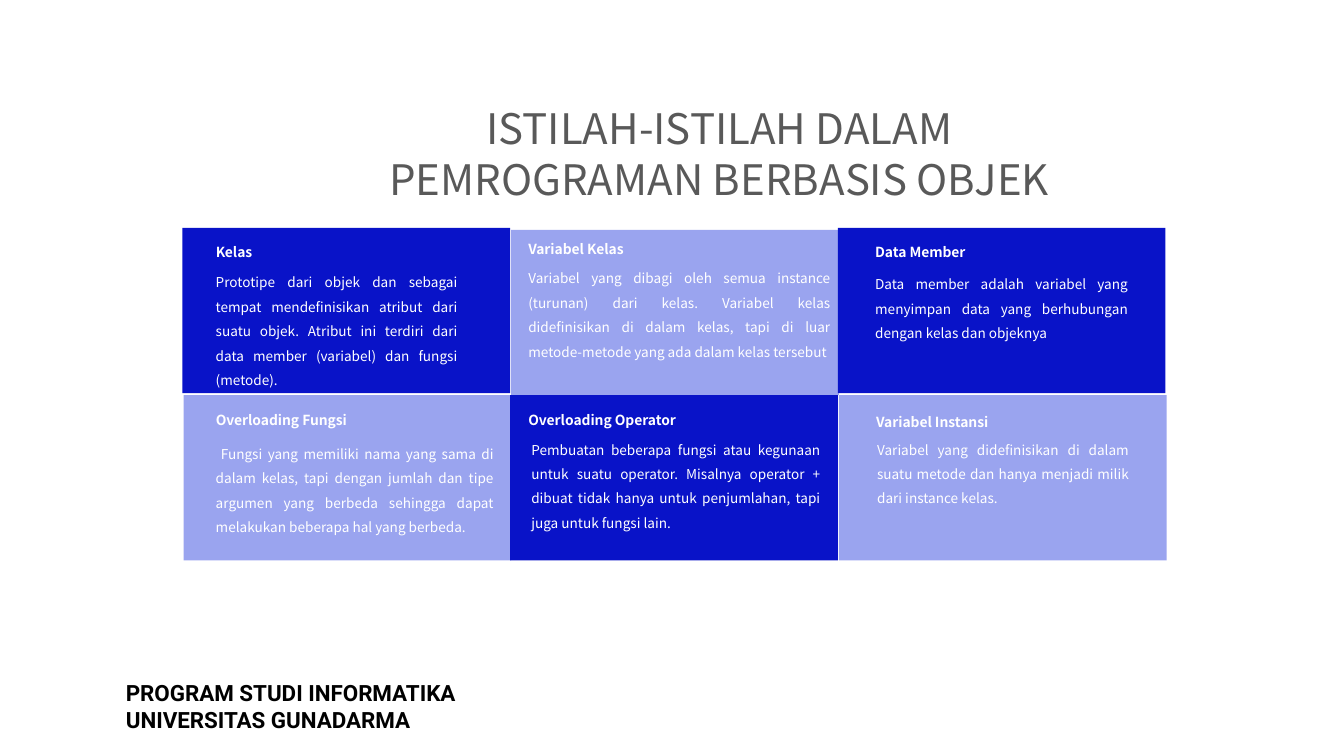
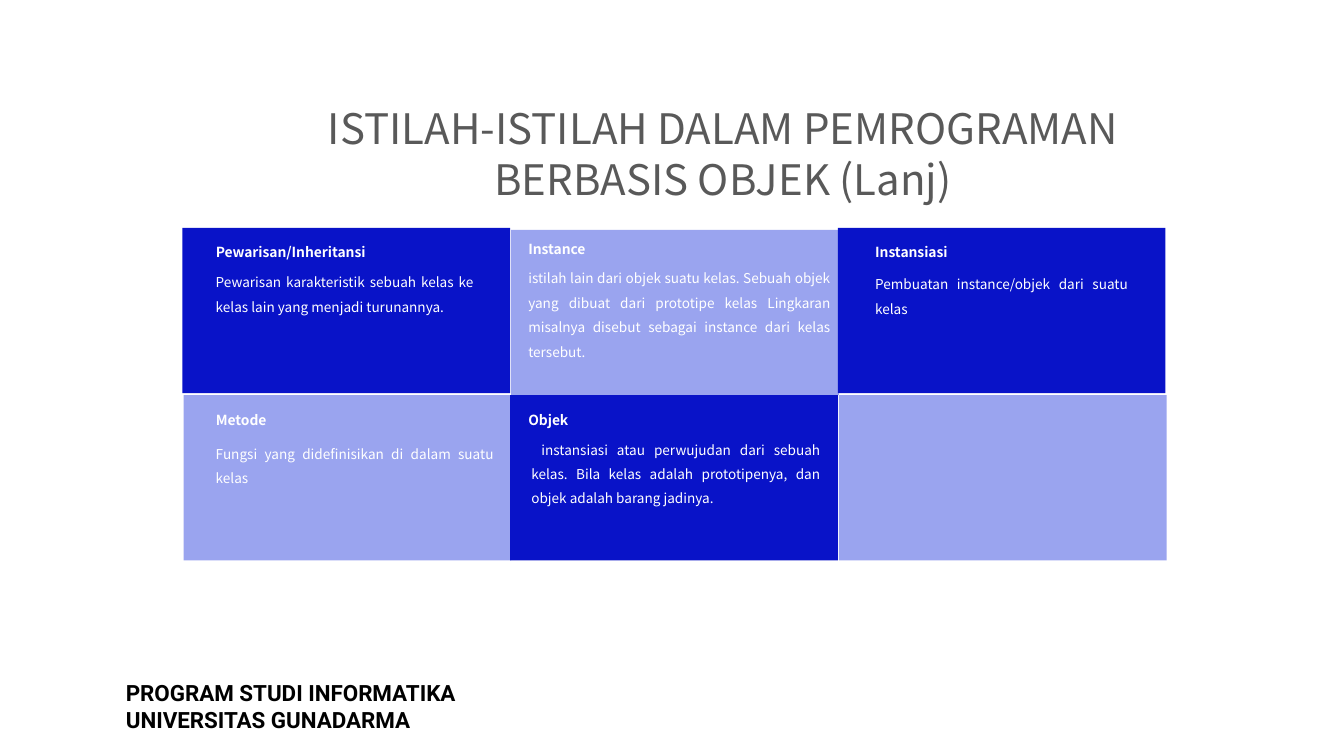
from dataclasses import dataclass

from pptx import Presentation
from pptx.dml.color import RGBColor
from pptx.enum import shapes, text
from pptx.util import Inches, Pt

COLORS = {"dark": "0913C8", "light": "9AA4EF", "white": "FFFFFF",
          "title": "595959", "footer": "000000"}
SANS, FOOTER_FONT = "Noto Sans CJK SC", "Roboto"
FOOTER = "PROGRAM STUDI INFORMATIKA\nUNIVERSITAS GUNADARMA"

# Tile grid: three columns, two rows, alternating dark and light
COLUMNS = 3
GRID_LEFT, GRID_TOP = 1.81, 2.26
TILE_WIDTH, TILE_HEIGHT, ROW_PITCH = 3.25, 1.64, 1.66
HEADING_SIZE = (1.85, 0.17)

# Heading left and top, body left, top and width, for each tile
SLOTS = [
    ((2.14, 2.42), (2.14, 2.64, 2.4)),
    ((5.24, 2.39), (5.24, 2.6, 3)),
    ((8.68, 2.42), (8.68, 2.66, 2.51)),
    ((2.14, 4.08), (2.14, 4.34, 2.76)),
    ((5.24, 4.08), (5.27, 4.3, 2.87)),
    ((8.69, 4.1), (8.7, 4.3, 2.5)),
]


@dataclass
class Term:
    heading: str
    body: str
    lines: int
    indent: float = 0
    width: float = 0  # replaces the width of the slot when set


BASIC_TERMS = [
    Term("Kelas", "Prototipe dari objek dan sebagai tempat mendefinisikan atribut dari "
         "suatu objek. Atribut ini terdiri dari data member (variabel) dan fungsi (metode).", 5),
    Term("Variabel Kelas", "Variabel yang dibagi oleh semua instance (turunan) dari kelas. "
         "Variabel kelas didefinisikan di dalam kelas, tapi di luar metode-metode yang ada "
         "dalam kelas tersebut", 4),
    Term("Data Member", "Data member adalah variabel yang menyimpan data yang berhubungan "
         "dengan kelas dan objeknya", 3),
    Term("Overloading Fungsi", "Fungsi yang memiliki nama yang sama di dalam kelas, tapi "
         "dengan jumlah dan tipe argumen yang berbeda sehingga dapat melakukan beberapa hal "
         "yang berbeda.", 4, indent=0.05),
    Term("Overloading Operator", "Pembuatan beberapa fungsi atau kegunaan untuk suatu "
         "operator. Misalnya operator + dibuat tidak hanya untuk penjumlahan, tapi juga "
         "untuk fungsi lain.", 4),
    Term("Variabel Instansi", "Variabel yang didefinisikan di dalam suatu metode dan hanya "
         "menjadi milik dari instance kelas.", 3),
]

FURTHER_TERMS = [
    Term("Pewarisan/Inheritansi", "Pewarisan karakteristik sebuah kelas ke kelas lain yang "
         "menjadi turunannya.", 2, width=2.56),
    Term("Instance", "istilah lain dari objek suatu kelas. Sebuah objek yang dibuat dari "
         "prototipe kelas Lingkaran misalnya disebut sebagai instance dari kelas tersebut.", 4),
    Term("Instansiasi", "Pembuatan instance/objek dari suatu kelas", 2),
    Term("Metode", "Fungsi yang didefinisikan di dalam suatu kelas", 2),
    Term("Objek", "instansiasi atau perwujudan dari sebuah kelas. Bila kelas adalah "
         "prototipenya, dan objek adalah barang jadinya.", 3, indent=0.1),
]


def format_text(frame, size, color, font=SANS, bold=False):
    for paragraph in frame.paragraphs:
        for run in paragraph.runs:
            run.font.size = Pt(size)
            run.font.name = font
            run.font.bold = bold
            run.font.color.rgb = RGBColor.from_string(COLORS[color])


def add_text(slide, wording, left, top, width, height, margin=True):
    box = slide.shapes.add_textbox(Inches(left), Inches(top), Inches(width), Inches(height))
    frame = box.text_frame
    frame.word_wrap = True
    frame.auto_size = text.MSO_AUTO_SIZE.SHAPE_TO_FIT_TEXT
    if not margin:
        frame.margin_left = frame.margin_right = frame.margin_top = frame.margin_bottom = 0
    frame.text = wording
    return box


def move_footer_to_layout(slide, layout):
    """Build the footer and hand it to the layout that all slides share."""
    footer = add_text(slide, FOOTER, 1.15, 6.69, 6.56, 0.64)
    format_text(footer.text_frame, 16, "footer", FOOTER_FONT, bold=True)
    next_id = max(shape.shape_id for shape in layout.shapes) + 1
    footer.element.nvSpPr.cNvPr.set("id", str(next_id))
    layout.shapes.element.append(footer.element)


def set_title(slide, wording, left, width):
    title = slide.shapes.title
    title.left, title.top = Inches(left), Inches(0.97)
    title.width, title.height = Inches(width), Inches(1.11)
    frame = title.text_frame
    frame.text = wording
    frame.word_wrap = True
    frame.auto_size = text.MSO_AUTO_SIZE.NONE
    frame.vertical_anchor = text.MSO_ANCHOR.TOP
    frame.paragraphs[0].alignment = text.PP_ALIGN.CENTER
    format_text(frame, 30, "title")


def add_tile(slide, index):
    row, column = divmod(index, COLUMNS)
    light = (row + column) % 2 == 1
    left = GRID_LEFT + column * TILE_WIDTH + (0.01 if light else 0)
    top = GRID_TOP + row * ROW_PITCH + (0.02 if light and row == 0 else 0)
    tile = slide.shapes.add_shape(shapes.MSO_SHAPE.RECTANGLE, Inches(left), Inches(top),
                                  Inches(TILE_WIDTH), Inches(TILE_HEIGHT))
    tile.shadow.inherit = False
    tile.fill.solid()
    tile.fill.fore_color.rgb = RGBColor.from_string(COLORS["light" if light else "dark"])
    tile.line.fill.background()


def add_term(slide, term, slot):
    heading_at, (left, top, width) = slot
    # Justified explanation
    body = add_text(slide, term.body, left, top, term.width or width,
                    0.245 * term.lines - 0.03, margin=False)
    paragraph = body.text_frame.paragraphs[0]
    paragraph.alignment = text.PP_ALIGN.JUSTIFY
    paragraph.line_spacing = 1.5
    if term.indent:
        for properties in body.element.xpath(".//a:pPr"):
            properties.set("indent", str(Inches(term.indent)))
    format_text(body.text_frame, 9.7, "white")
    # Bold heading
    heading = add_text(slide, term.heading, *heading_at, *HEADING_SIZE, margin=False)
    format_text(heading.text_frame, 9.9, "white", bold=True)


def add_terms_slide(prs, layout, title, title_left, title_width, terms):
    slide = prs.slides.add_slide(layout)
    set_title(slide, title, title_left, title_width)
    for index, slot in enumerate(SLOTS):
        add_tile(slide, index)
        if index < len(terms):
            add_term(slide, terms[index], slot)
    return slide


def main():
    prs = Presentation()
    prs.slide_width, prs.slide_height = Inches(13.33), Inches(7.5)
    layout = prs.slide_layouts.get_by_name("Title Only")
    title = "ISTILAH-ISTILAH DALAM PEMROGRAMAN BERBASIS OBJEK"
    first = add_terms_slide(prs, layout, title, 3.51, 7.25, BASIC_TERMS)
    move_footer_to_layout(first, layout)
    add_terms_slide(prs, layout, title + " (Lanj)", 2.98, 8.38, FURTHER_TERMS)
    prs.save("out.pptx")


if __name__ == "__main__":
    main()
